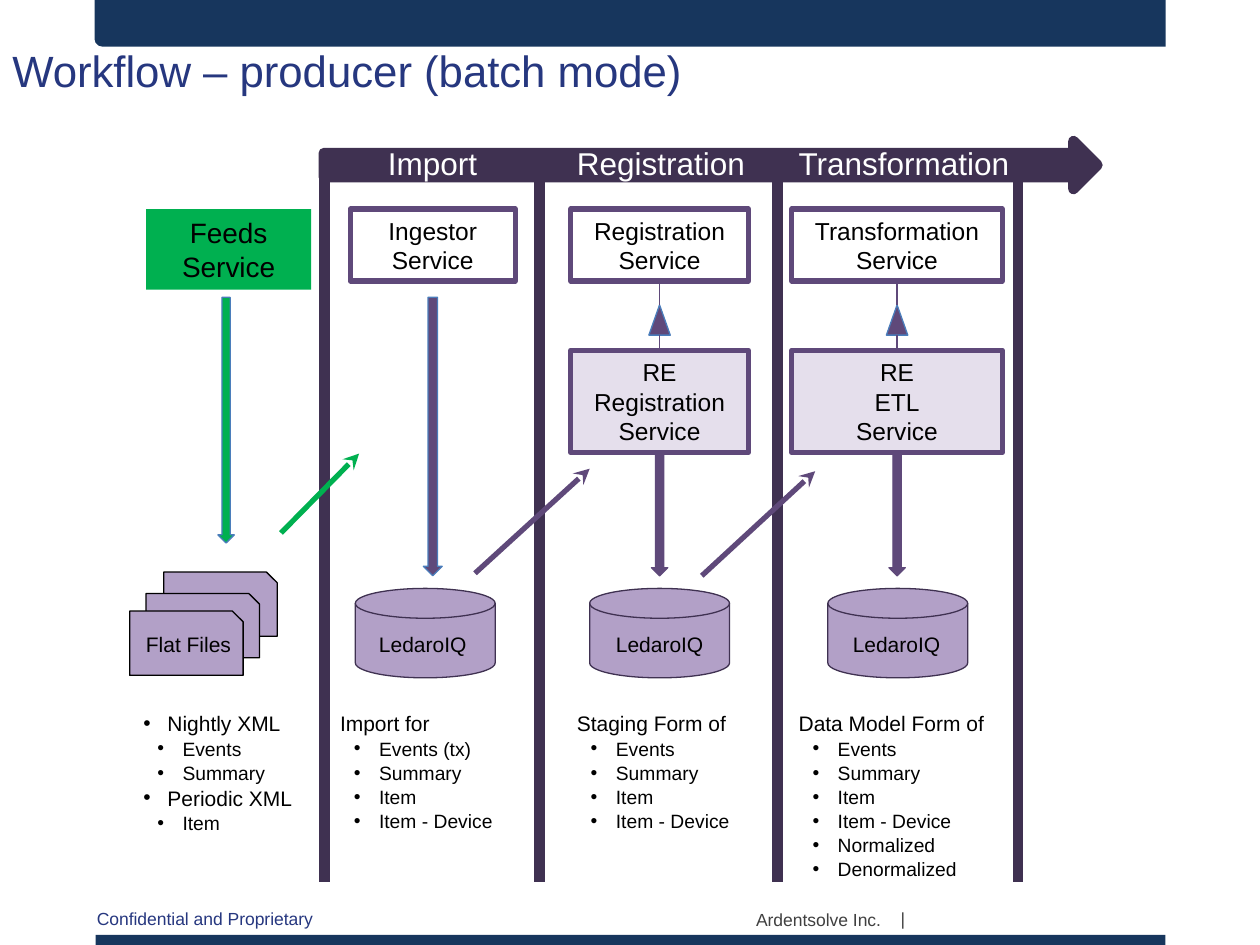
from lxml import etree
from pptx import Presentation, util as u
from pptx.dml.color import RGBColor
from pptx.enum import shapes, text
from pptx.oxml import ns

COLORS = {
    "navy": "17365D", "title": "26377F", "grey": "404040", "black": "000000",
    "white": "FFFFFF", "wall": "3F3151", "purple": "5F497A", "lilac": "B2A0C7",
    "pale": "E5DFEC", "green": "00B050", "blue": "4A7DBB",
}
KIND = shapes.MSO_SHAPE
ALIGN = text.PP_ALIGN
ANCHOR = text.MSO_ANCHOR
COLUMNS, ROWS = 100, 75
INDENTS = {1: (0.19, -0.19), 2: (0.31, -0.2)}


class Page:
    def __init__(self, deck):
        self.col = deck.slide_width / COLUMNS
        self.row = deck.slide_height / ROWS
        self.shapes = deck.slides.add_slide(deck.slide_layouts[6]).shapes

    def place(self, left, top, width, height):
        return [round(left * self.col), round(top * self.row),
                round(width * self.col), round(height * self.row)]

    def color(self, name):
        return RGBColor.from_string(COLORS[name])

    def fill_text(self, box, lines, size, color="black", align=ALIGN.LEFT, anchor=ANCHOR.TOP):
        frame = box.text_frame
        for name, value in {"word_wrap": True, "vertical_anchor": anchor}.items():
            setattr(frame, name, value)
        for index, line in enumerate(lines):
            para = frame.add_paragraph() if index else frame.paragraphs[0]
            para.alignment = align
            self.span(para, line, size, color)

    def span(self, para, line, size, color):
        span = para.add_run()
        span.text = line
        for name, value in {"name": "Arial", "size": u.Pt(size)}.items():
            setattr(span.font, name, value)
        span.font.color.rgb = self.color(color)

    def label(self, at, line, size, color="black", **layout):
        box = self.shapes.add_textbox(*self.place(*at))
        self.fill_text(box, [line], size, color, **layout)

    def bullets(self, at, items):
        frame = self.shapes.add_textbox(*self.place(*at)).text_frame
        frame.word_wrap = True
        for index, (level, line) in enumerate(items):
            para = frame.add_paragraph() if index else frame.paragraphs[0]
            if index:
                para.space_before = u.Pt(0.6)
            if level:
                para.level = level - 1
                props = para._p.get_or_add_pPr()
                for name, value in zip(("marL", "indent"), INDENTS[level]):
                    props.set(name, str(u.Inches(value)))
                tint = etree.SubElement(props, ns.qn("a:buClr"))
                etree.SubElement(tint, ns.qn("a:srgbClr"), val=COLORS["black"])
                etree.SubElement(props, ns.qn("a:buFont"), typeface="Arial")
                etree.SubElement(props, ns.qn("a:buChar"), char="•")
            self.span(para, line, 11 if level == 2 else 12, "black")

    def shape(self, kind, at, fill, line=None, weight=0.75, lines=(), size=14):
        box = self.shapes.add_shape(kind, *self.place(*at))
        box.shadow.inherit = False
        box.fill.solid()
        box.fill.fore_color.rgb = self.color(fill)
        if line:
            self.stroke(box.line, line, weight)
        else:
            box.line.fill.background()
        if lines:
            self.fill_text(box, lines, size, align=ALIGN.CENTER, anchor=ANCHOR.MIDDLE)
        return box

    def stroke(self, line, color, weight):
        line.color.rgb = self.color(color)
        line.width = u.Pt(weight)

    def connect(self, start, end, color, weight, arrow=False, begin_at=None, end_at=None):
        link = self.shapes.add_connector(
            shapes.MSO_CONNECTOR.STRAIGHT, *self.place(*start, *end))
        self.stroke(link.line, color, weight)
        if begin_at:
            link.begin_connect(*begin_at)
        if end_at:
            link.end_connect(*end_at)
        props = link._element.spPr
        if arrow:
            etree.SubElement(props.find(ns.qn("a:ln")), ns.qn("a:tailEnd"), type="stealth")
        etree.SubElement(props, ns.qn("a:effectLst"))


def add_frame(page):
    page.shape(KIND.RECTANGLE, (7.6, 74.2, 84.9, 0.8), "navy")
    page.shape(KIND.ROUND_1_RECTANGLE, (7.5, 0, 85, 3.7), "navy").rotation = 180
    page.label((6.7, 71.6, 19.6, 2.7), "Confidential and Proprietary", 10, "title")
    page.label((70.5, 71.6, 3.3, 2.7), "|", 10, "grey")
    page.label((39.2, 71, 31.7, 4), "Ardentsolve Inc.", 10, "grey",
               align=ALIGN.RIGHT, anchor=ANCHOR.MIDDLE)
    page.label((0, 3, 90, 12.5), "Workflow – producer (batch mode)", 25, "title")


def add_feeds(page):
    page.shape(KIND.RECTANGLE, (11.6, 16.6, 13.1, 6.4), "green",
               lines=("Feeds", "Service"), size=16)
    page.shape(KIND.DOWN_ARROW, (17.3, 23.6, 1.3, 19.5), "green", "blue")
    for left, top in ((13, 45.4), (11.6, 47.1), (10.3, 48.5)):
        page.shape(KIND.SNIP_1_RECTANGLE, (left, top, 9, 5.1), "lilac", "black")
    page.label((10.6, 49.6, 9.2, 3), "Flat Files", 12)
    page.bullets((10.4, 55.9, 13.9, 10.6), [
        (1, "Nightly XML"), (2, "Events"), (2, "Summary"), (1, "Periodic XML"), (2, "Item")])


def add_store(page, middle, label_left):
    page.shape(KIND.FLOWCHART_MAGNETIC_DISK, (middle - 5.55, 46.7, 11.1, 7.1), "lilac", "wall")
    page.label((label_left, 49.65, 9.4, 3), "LedaroIQ", 12)


def add_service(page, middle, width, name):
    return page.shape(KIND.RECTANGLE, (middle - width / 2, 16.6, width, 5.7), "white",
                      "purple", 3, (name, "Service"))


def add_engine(page, middle, width, service, name):
    engine = page.shape(KIND.RECTANGLE, (middle - width / 2, 27.8, width, 8.1), "pale",
                        "purple", 3, ("RE", name, "Service"))
    page.shape(KIND.ISOSCELES_TRIANGLE, (middle - 0.85, 24.2, 1.7, 2.4), "purple", "blue")
    page.connect((middle, 24.2), (middle, 22.3), "purple", 0.75, end_at=(service, 2))
    page.connect((middle, 27.8), (middle, 26.6), "purple", 0.75, begin_at=(engine, 0))
    page.shape(KIND.DOWN_ARROW, (middle - 0.65, 35.9, 1.3, 9.8), "purple", "purple")


def add_stages(page):
    common = ["Summary", "Item", "Item - Device"]
    stages = [
        (34.35, 13.1, "Import", None, 33.75, 29.1,
         (26, 14.2), "Import for", ["Events (tx)"] + common),
        (52.35, 14.1, "Registration", "Registration", 52.35, 47.9,
         (44.8, 14.5), "Staging Form of", ["Events"] + common),
        (71.2, 16.7, "Transformation", "ETL", 71.25, 66.7,
         (62.4, 17.1), "Data Model Form of",
         ["Events"] + common + ["Normalized", "Denormalized"]),
    ]
    for middle, width, name, engine, store, label_left, notes, heading, items in stages:
        service = add_service(page, middle, width, name if engine else "Ingestor")
        if engine:
            add_engine(page, middle, width, service, engine)
        else:
            page.shape(KIND.DOWN_ARROW, (middle - 0.75, 23.6, 1.5, 22.1), "purple", "blue")
        add_store(page, store, label_left)
        left, breadth = notes
        page.bullets((left, 55.9, breadth, 3 + 1.85 * len(items)),
                     [(None, heading)] + [(2, item) for item in items])


def add_band(page):
    page.shape(KIND.RIGHT_ARROW, (25.7, 11.2, 61.4, 3.8), "wall", "wall", 6)
    for left, width, name in ((29.8, 9.4, "Import"), (44.8, 15.5, "Registration"),
                              (62.4, 18.9, "Transformation")):
        page.label((left, 10.9, width, 4), name, 18, "white")


def main():
    deck = Presentation()
    deck.slide_width, deck.slide_height = u.Inches(10), u.Inches(7.5)
    page = Page(deck)
    add_frame(page)
    for left in (25.75, 42.8, 61.7, 80.8):
        page.connect((left, 12.1), (left, 70), "wall", 6)
    add_feeds(page)
    add_stages(page)
    add_band(page)
    for start, end, color in (((22.3, 42.3), (28.5, 36), "green"),
                              ((37.7, 45.5), (46.8, 37.2), "purple"),
                              ((55.7, 45.7), (64.7, 37.4), "purple")):
        page.connect(start, end, color, 3, arrow=True)
    deck.save("out.pptx")


if __name__ == "__main__":
    main()
